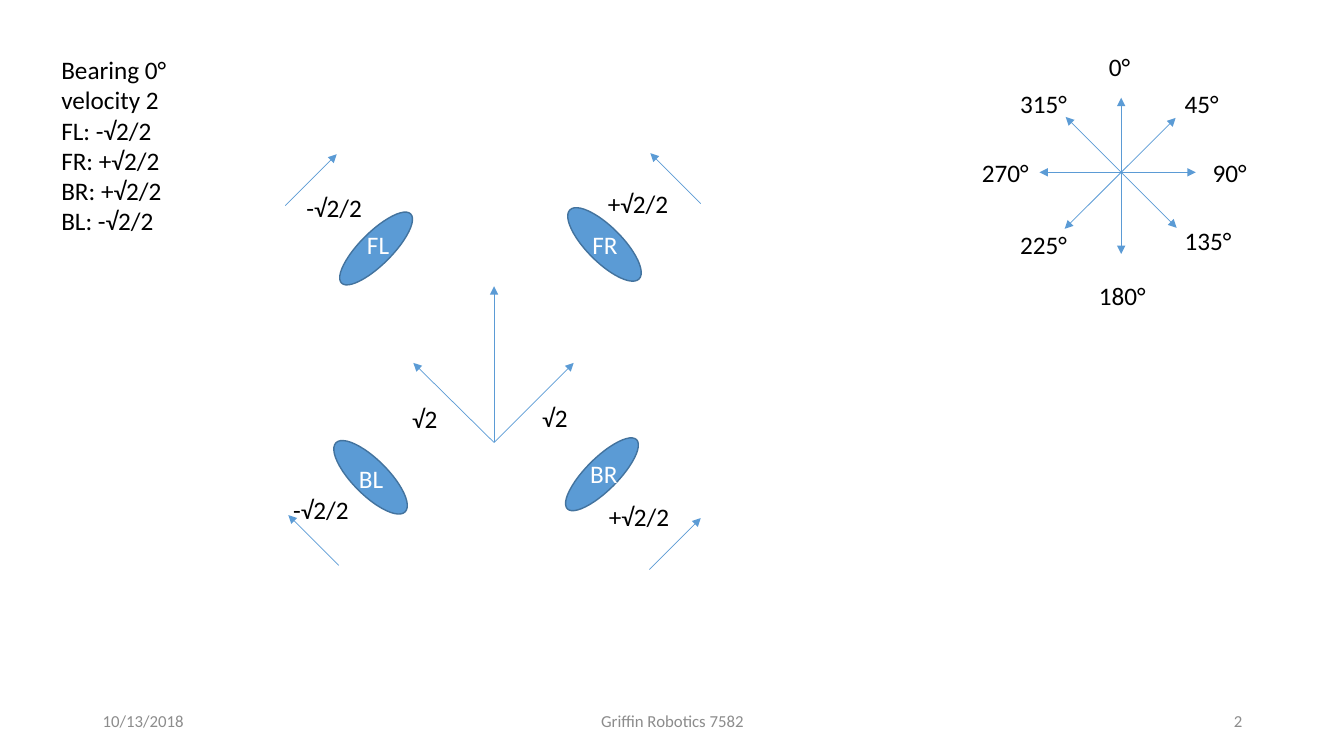
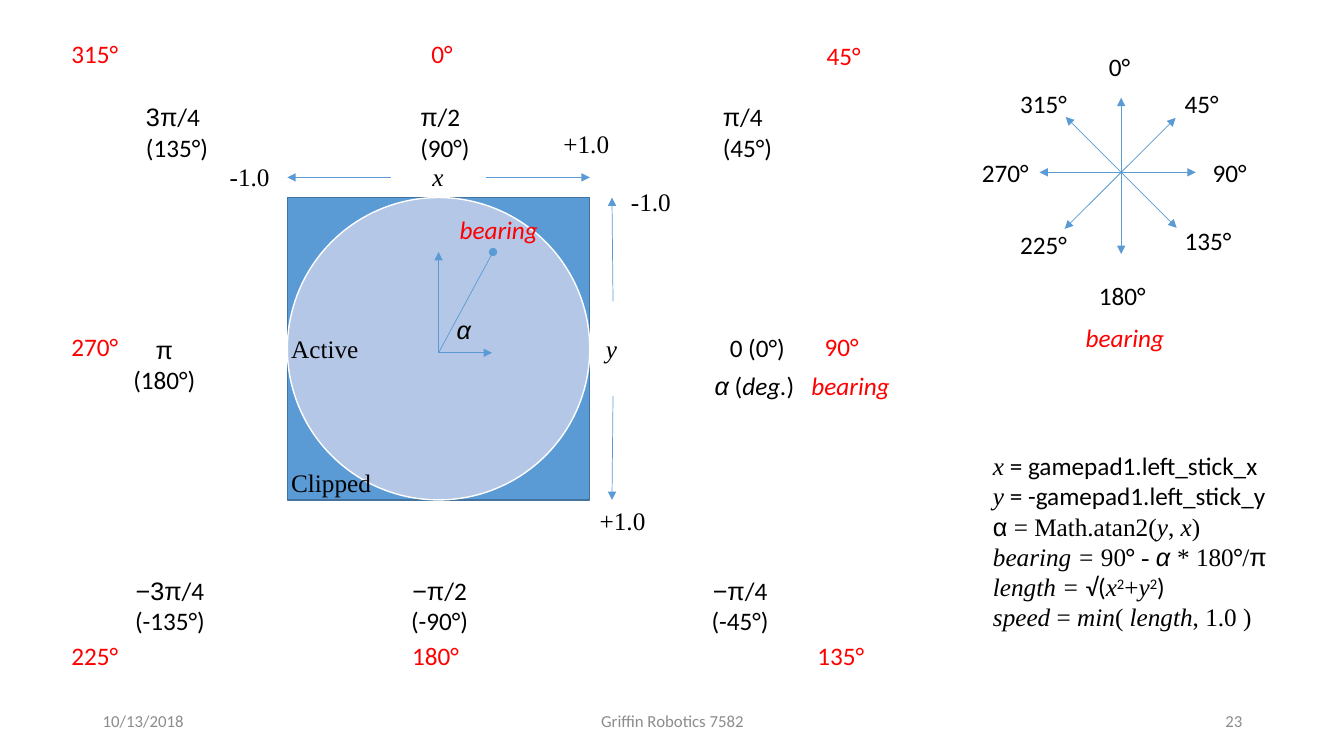
from dataclasses import dataclass

from pptx import Presentation
from pptx.dml.color import RGBColor
from pptx.enum.shapes import MSO_CONNECTOR, MSO_SHAPE
from pptx.enum.text import MSO_ANCHOR, MSO_AUTO_SIZE, PP_ALIGN
from pptx.oxml.ns import qn
from pptx.util import Inches, Pt
from lxml import etree

STRAIGHT = MSO_CONNECTOR.STRAIGHT
OVAL, RECTANGLE = MSO_SHAPE.OVAL, MSO_SHAPE.RECTANGLE
LEFT, CENTER, RIGHT = PP_ALIGN.LEFT, PP_ALIGN.CENTER, PP_ALIGN.RIGHT
TOP, MIDDLE = MSO_ANCHOR.TOP, MSO_ANCHOR.MIDDLE
FIT, FIXED = MSO_AUTO_SIZE.SHAPE_TO_FIT_TEXT, MSO_AUTO_SIZE.NONE


@dataclass(frozen=True)
class Theme:
    black: str = "000000"
    white: str = "FFFFFF"
    red: str = "FF0000"
    grey: str = "8C8C8C"
    blue: str = "5B9BD5"
    outline: str = "43739E"
    pale: str = "B4C7E7"
    sans: str = "Calibri"
    serif: str = "Times New Roman"
    greek: str = "Arial"
    body: int = 18
    footer: int = 12
    arrow: float = 0.5
    border: float = 1
    row: float = 0.4


THEME = Theme()

# Run styles: a letter for the font, "i" for italic, "^" for superscript
FONTS = {"C": THEME.sans, "T": THEME.serif, "A": THEME.greek}

COMPASS_ARROWS = [
    ((11.12, 2.52), (11.12, 0.97)), ((11.86, 1.71), (10.31, 1.71)),
    ((10.56, 2.27), (11.66, 1.17)), ((10.57, 1.16), (11.67, 2.26)),
]
COMPASS_LABELS = [
    ("0°", 10.9, 0.46, 0.42), ("45°", 11.65, 0.83, 0.54),
    ("90°", 11.93, 1.51, 0.54), ("135°", 11.65, 2.19, 0.67),
    ("180°", 10.8, 2.73, 0.67), ("225°", 10.02, 2.23, 0.67),
    ("270°", 9.64, 1.51, 0.67), ("315°", 10.02, 0.83, 0.67),
]

DRIVE_SETTINGS = ["Bearing 0°", "velocity 2", "FL: -√2/2", "FR: +√2/2",
                  "BR: +√2/2", "BL: -√2/2"]
DRIVE_ARROWS = [
    ((4.9, 4.39), (4.9, 2.84)), ((4.9, 4.39), (4.1, 3.6)),
    ((4.9, 4.39), (5.69, 3.6)), ((6.95, 2.02), (6.45, 1.52)),
    ((3.36, 5.61), (2.86, 5.11)), ((2.83, 2.04), (3.34, 1.53)),
    ((6.44, 5.65), (6.95, 5.14)),
]
DRIVE_LABELS = [
    ("+√2/2", 5.93, 1.82, 0.81), ("+√2/2", 5.94, 4.92, 0.81),
    ("-√2/2", 2.94, 1.86, 0.76), ("-√2/2", 2.81, 4.86, 0.76),
    ("√2", 5.28, 3.94, 0.46), ("√2", 3.99, 3.95, 0.46),
]
# Name, ellipse box, label corner
WHEELS = [
    ("BL", (3.19, 4.56, 0.97, 0.35), (3.4, 4.55)),
    ("FR", (5.51, 2.25, 0.97, 0.35), (5.72, 2.23)),
    ("FL", (3.57, 1.98, 0.32, 0.97), (3.47, 2.23)),
    ("BR", (5.81, 4.22, 0.32, 0.97), (5.71, 4.5)),
]

STICK = (2.85, 1.96, 3, 3)
AXIS_ARROWS = [
    ((4.82, 1.76), (5.85, 1.76)), ((3.88, 1.76), (2.85, 1.76)),
    ((6.08, 2.99), (6.07, 1.96)), ((6.08, 3.93), (6.07, 4.96)),
]
STICK_LABELS = [
    ("x", "Ti", 4.19, 1.55, 0.31), ("y", "Ti", 5.91, 3.26, 0.31),
    ("+1.0", "T", 5.49, 1.22, 0.66), ("-1.0", "T", 2.18, 1.55, 0.6),
    ("+1.0", "T", 5.85, 4.96, 0.66), ("-1.0", "T", 6.16, 1.8, 0.6),
    ("Active", "T", 2.79, 3.26, 0.88), ("Clipped", "T", 2.79, 4.59, 1),
    ("α", "Ai", 4.43, 3.07, 0.36),
]
STICK_ORIGIN = (4.35, 3.5)
STICK_VECTORS = [((4.89, 2.5), "oval"), ((4.35, 2.5), "triangle"),
                 ((4.88, 3.5), "triangle")]
# Greek part, rest of the first line, degrees, box, alignment
RADIANS = [
    ("3π", "/4", "(135°)", 1.35, 0.96, 1.37, LEFT),
    ("π", "/2", "(90°)", 4.07, 0.96, 1.12, LEFT),
    ("π", "/4", "(45°)", 7.07, 0.96, 1.12, LEFT),
    ("π", "", "(180°)", 1.12, 3.27, 1.02, CENTER),
    ("−3π", "/4", "(-135°)", 0.89, 5.66, 1.59, CENTER),
    ("−π", "/2", "(-90°)", 3.69, 5.66, 1.34, CENTER),
    ("−π", "/4", "(-45°)", 6.68, 5.66, 1.32, CENTER),
]
BEARINGS = [
    ("0°", 4.18, 0.33, 0.42), ("45°", 8.1, 0.35, 0.54),
    ("90°", 8.08, 3.24, 0.54), ("135°", 8.01, 6.3, 0.67),
    ("180°", 3.99, 6.3, 0.67), ("225°", 0.61, 6.3, 0.67),
    ("270°", 0.61, 3.24, 0.67), ("315°", 0.61, 0.33, 0.67),
]
BEARING_CAPTIONS = [(7.95, 3.62), (10.67, 3.15), (4.46, 2.08)]
FORMULAS = [
    [("x", "Ti"), (" = gamepad1.left_stick_x", "C")],
    [("y", "Ti"), (" = -gamepad1.left_stick_y", "C")],
    [("α", "A"), (" = Math.atan2(", "T"), ("y", "Ti"), (", ", "T"),
     ("x", "Ti"), (")", "T")],
    [("bearing =", "Ti"), (" 90", "T"), ("°", "C"), (" - ", "T"),
     ("α ", "Ai"), ("* 180", "T"), ("°", "C"), ("/", "T"), ("π", "A")],
    [("length = ", "Ti"), ("√(", "C"), ("x", "Ti"), ("2", "C^"),
     ("+", "T"), ("y", "Ti"), ("2", "C^"), (")", "C")],
    [("speed", "Ti"), (" = ", "T"), ("min", "Ti"), ("( ", "T"),
     ("length", "Ti"), (", 1.0 )", "T")],
]


def rgb(color):
    return RGBColor.from_string(color)


def add_span(para, text, style, color, size):
    span = para.add_run()
    span.text = text
    span.font.name = FONTS[style[0]]
    span.font.size = Pt(size)
    span.font.italic = "i" in style
    span.font.color.rgb = rgb(color)
    if "^" in style:
        span.font._element.set("baseline", "30000")


def add_text(page, area, lines, color=THEME.black, size=THEME.body,
             align=LEFT, anchor=TOP, wrap=True):
    """Place a text box; each line is a list of (text, style) runs."""
    box = page.shapes.add_textbox(*map(Inches, area))
    frame = box.text_frame
    frame.word_wrap = wrap
    frame.auto_size = FIXED if wrap else FIT
    frame.vertical_anchor = anchor
    for index, line in enumerate(lines):
        para = frame.add_paragraph() if index else frame.paragraphs[0]
        para.alignment = align
        for text, style in line:
            add_span(para, text, style, color, size)


def add_label(page, text, left, top, width, style="C", color=THEME.black):
    add_text(page, (left, top, width, THEME.row), [[(text, style)]], color,
             wrap=False)


def add_arrow(page, start, end, head=None, tail="triangle"):
    points = map(Inches, (*start, *end))
    arrow = page.shapes.add_connector(STRAIGHT, *points)
    arrow.line.color.rgb = rgb(THEME.blue)
    arrow.line.width = Pt(THEME.arrow)
    stroke = arrow.line._get_or_add_ln()
    for tag, kind in (("a:headEnd", head), ("a:tailEnd", tail)):
        if kind:
            etree.SubElement(stroke, qn(tag)).set("type", kind)
    etree.SubElement(arrow._element.spPr, qn("a:effectLst"))


def add_figure(page, kind, area, fill=THEME.blue, outline=THEME.outline,
               rotation=0):
    figure = page.shapes.add_shape(kind, *map(Inches, area))
    figure.shadow.inherit = False
    figure.fill.solid()
    figure.fill.fore_color.rgb = rgb(fill)
    figure.line.color.rgb = rgb(outline)
    figure.line.width = Pt(THEME.border)
    figure.rotation = rotation


def add_compass(page):
    for start, end in COMPASS_ARROWS:
        add_arrow(page, start, end, head="triangle")
    for label in COMPASS_LABELS:
        add_label(page, *label)


def add_footer(page, number):
    for text, left, width, align in (
            ("10/13/2018", 0.92, 3, LEFT),
            ("Griffin Robotics 7582", 4.42, 4.5, CENTER),
            (str(number), 9.42, 3, RIGHT)):
        add_text(page, (left, 6.95, width, THEME.row), [[(text, "C")]],
                 THEME.grey, THEME.footer, align, MIDDLE)


def add_page(deck, number):
    page = deck.slides.add_slide(deck.slide_layouts[6])
    add_compass(page)
    add_footer(page, number)
    return page


def build_drive_page(deck):
    page = add_page(deck, 2)
    add_text(page, (0.51, 0.49, 2.46, 1.92),
             [[(line, "C")] for line in DRIVE_SETTINGS])
    # Velocity vectors
    for label in DRIVE_LABELS:
        add_label(page, *label)
    for start, end in DRIVE_ARROWS:
        add_arrow(page, start, end)
    # Wheels
    for name, area, corner in WHEELS:
        add_figure(page, OVAL, area, rotation=45)
        add_text(page, (*corner, 0.56, THEME.row), [[(name, "C")]],
                 THEME.white, align=CENTER)


def build_stick_page(deck):
    page = add_page(deck, 23)
    # Joystick range and axes
    add_figure(page, RECTANGLE, STICK)
    add_figure(page, OVAL, STICK, THEME.pale, THEME.white)
    for start, end in AXIS_ARROWS:
        add_arrow(page, start, end)
    for end, tail in STICK_VECTORS:
        add_arrow(page, STICK_ORIGIN, end, tail=tail)
    for text, style, *place in STICK_LABELS:
        add_label(page, text, *place, style=style)
    # Angles around the stick
    for greek, rest, degrees, left, top, width, align in RADIANS:
        first = [(greek, "A")] + ([(rest, "C")] if rest else [])
        add_text(page, (left, top, width, 0.7), [first, [(degrees, "C")]],
                 align=align)
    add_label(page, "0 (0°)", 7.14, 3.25, 0.76)
    add_text(page, (6.99, 3.62, 1.1, THEME.row),
             [[("α", "Ai"), (" (", "C"), ("deg.", "Ci"), (")", "C")]])
    for bearing in BEARINGS:
        add_label(page, *bearing, color=THEME.red)
    for left, top in BEARING_CAPTIONS:
        add_label(page, "bearing", left, top, 0.99, "Ci", THEME.red)
    # Conversion formulas
    add_text(page, (9.75, 4.42, 3.09, 1.92), FORMULAS)


def main():
    deck = Presentation()
    deck.slide_width, deck.slide_height = Inches(13.33), Inches(7.5)
    build_drive_page(deck)
    build_stick_page(deck)
    deck.save("out.pptx")


if __name__ == "__main__":
    main()
